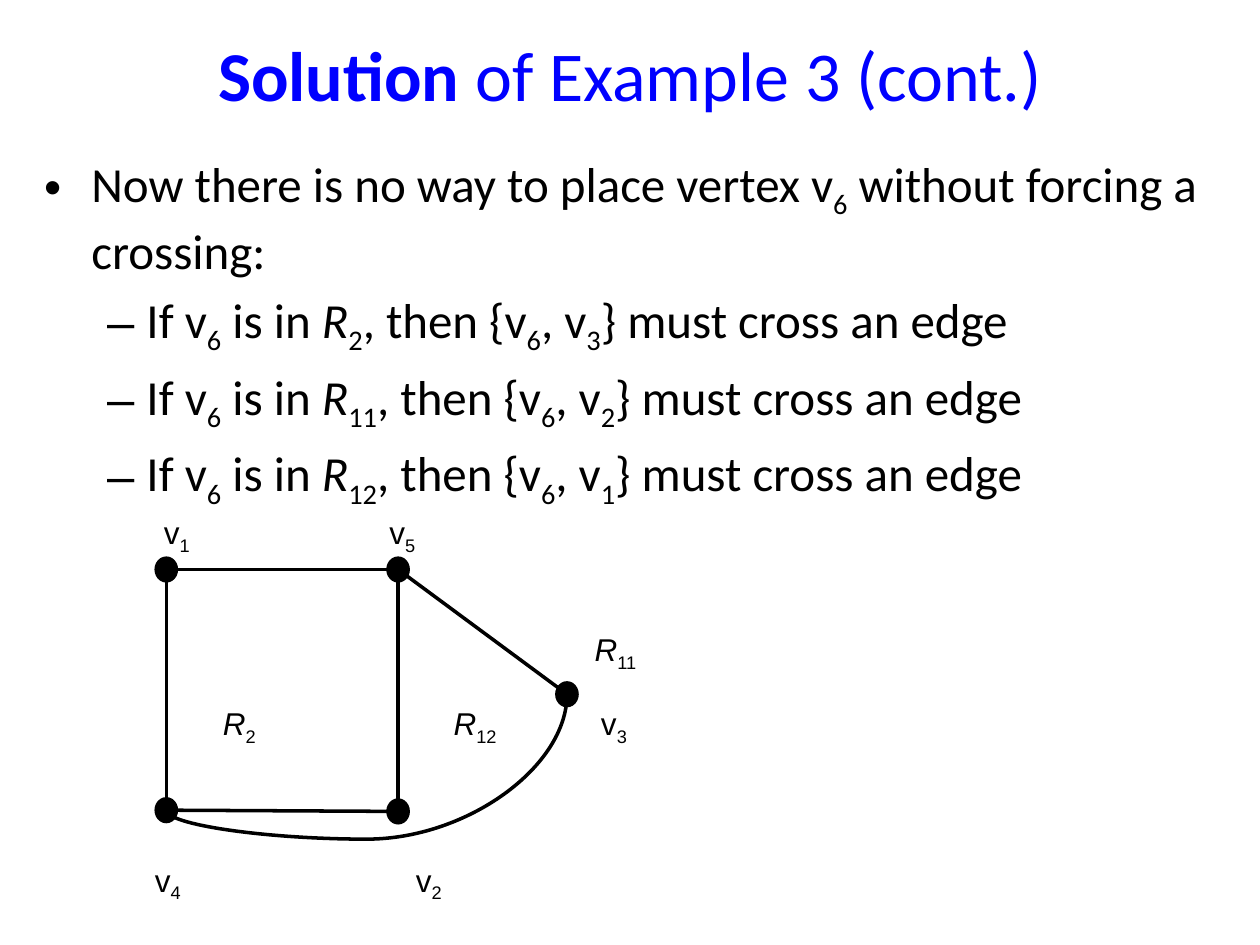
from lxml.etree import SubElement
from pptx import Presentation
from pptx.dml.color import RGBColor
from pptx.enum.shapes import MSO_CONNECTOR, MSO_SHAPE
from pptx.enum.text import MSO_ANCHOR, MSO_AUTO_SIZE, PP_ALIGN
from pptx.oxml.ns import qn
from pptx.util import Inches, Pt

BLUE, BLACK = "0000FF", "000000"
LINE_WIDTH = Pt(2)
DOT_W, DOT_H = 0.16, 0.18

VERTICES = {
    "1": (0.08, 0.52),
    "5": (1.92, 0.52),
    "4": (0.08, 2.43),
    "2": (1.92, 2.44),
    "3": (3.26, 1.51),
}
EDGES = [("1", "4"), ("5", "2"), ("2", "4"), ("5", "1"), ("5", "3")]
CURVE_BOTTOM = 2.66
LABELS = [
    ("v", "1", 0.06, 0.07),
    ("v", "5", 1.85, 0.07),
    ("R", "11", 3.48, 1.0),
    ("R", "2", 0.53, 1.59),
    ("R", "12", 2.36, 1.59),
    ("v", "3", 3.53, 1.59),
    ("v", "4", -0.01, 2.83),
    ("v", "2", 2.06, 2.83),
]
CASES = [("2", "3"), ("11", "2"), ("12", "1")]


def color(value):
    return RGBColor.from_string(value)


def place(sp, box):
    sp.left, sp.top, sp.width, sp.height = (Inches(v) for v in box)


def add_runs(p, runs, font, size, fill):
    for text, style in runs:
        r = p.add_run()
        r.text = text
        r.font.name = font
        r.font.size = Pt(size)
        r.font.color.rgb = color(fill)
        if style == "bold":
            r.font.bold = True
        elif style == "italic":
            r.font.italic = True
        elif style == "sub":
            r._r.get_or_add_rPr().set("baseline", "-25000")


def style_line(line):
    line.color.rgb = color(BLACK)
    line.width = LINE_WIDTH


def add_title(slide, box):
    sp = slide.shapes.title
    place(sp, box)
    tf = sp.text_frame
    tf.vertical_anchor = MSO_ANCHOR.MIDDLE
    p = tf.paragraphs[0]
    p.alignment = PP_ALIGN.CENTER
    add_runs(p, [("Solution", "bold"), (" of Example 3 (cont.)", "")], "Calibri", 40, BLUE)


def add_body(slide, box):
    sp = slide.placeholders[1]
    place(sp, box)
    tf = sp.text_frame
    tf.auto_size = MSO_AUTO_SIZE.NONE
    p = tf.paragraphs[0]
    p.space_before = Pt(0)
    intro = [
        ("Now there is no way to place vertex v", ""),
        ("6", "sub"),
        (" without forcing a crossing:", ""),
    ]
    add_runs(p, intro, "Calibri", 28, BLACK)
    for region, vertex in CASES:
        p = tf.add_paragraph()
        p.level = 1
        case = [
            ("If v", ""), ("6", "sub"), (" is in ", ""),
            ("R", "italic"), (region, "sub"),
            (", then {v", ""), ("6", "sub"), (", v", ""), (vertex, "sub"),
            ("} must cross an edge", ""),
        ]
        add_runs(p, case, "Calibri", 28, BLACK)


def add_edge(slide, kind, x1, y1, x2, y2):
    edge = slide.shapes.add_connector(kind, Inches(x1), Inches(y1), Inches(x2), Inches(y2))
    style_line(edge.line)
    SubElement(edge._element.spPr, qn("a:effectLst"))
    return edge


def add_curve(slide, start, end, bottom):
    (x1, y1), (x2, y2) = start, end
    across, down = x1 - x2, y2 - y1
    cx, cy = (x1 + x2) / 2, (y1 + y2) / 2
    curve = add_edge(slide, MSO_CONNECTOR.CURVE, cx - down / 2, cy - across / 2,
                     cx + down / 2, cy + across / 2)
    spPr = curve._element.spPr
    spPr.find(qn("a:xfrm")).set("rot", "5400000")
    geom = spPr.find(qn("a:prstGeom"))
    avLst = geom.find(qn("a:avLst"))
    if avLst is None:
        avLst = SubElement(geom, qn("a:avLst"))
    bend = round((bottom - y1) / down * 100000)
    SubElement(avLst, qn("a:gd"), name="adj1", fmla=f"val {bend}")


def add_dot(slide, x, y):
    dot = slide.shapes.add_shape(MSO_SHAPE.OVAL, Inches(x - DOT_W / 2), Inches(y - DOT_H / 2),
                                 Inches(DOT_W), Inches(DOT_H))
    dot.shadow.inherit = False
    dot.fill.solid()
    dot.fill.fore_color.rgb = color(BLACK)
    style_line(dot.line)


def add_label(slide, letter, index, x, y):
    tf = slide.shapes.add_textbox(Inches(x), Inches(y), Inches(0.5), Inches(0.3)).text_frame
    tf.margin_left = tf.margin_right = tf.margin_top = tf.margin_bottom = 0
    tf.word_wrap = True
    letter_style = "italic" if letter == "R" else ""
    add_runs(tf.paragraphs[0], [(letter, letter_style), (index, "sub")], "Arial", 18, BLACK)


def add_graph(slide, left, top):
    points = {name: (left + x, top + y) for name, (x, y) in VERTICES.items()}
    for a, b in EDGES:
        add_edge(slide, MSO_CONNECTOR.STRAIGHT, *points[a], *points[b])
    add_curve(slide, points["3"], points["4"], top + CURVE_BOTTOM)
    for x, y in points.values():
        add_dot(slide, x, y)
    for letter, index, x, y in LABELS:
        add_label(slide, letter, index, left + x, top + y)


def main():
    prs = Presentation()
    prs.slide_width, prs.slide_height = Inches(10), Inches(7.5)
    slide = prs.slides.add_slide(prs.slide_layouts[1])
    add_title(slide, (0.5, 0.17, 9, 0.83))
    add_body(slide, (0.25, 1.17, 9.42, 3.17))
    add_graph(slide, 1.24, 4)
    prs.save("out.pptx")


if __name__ == "__main__":
    main()
